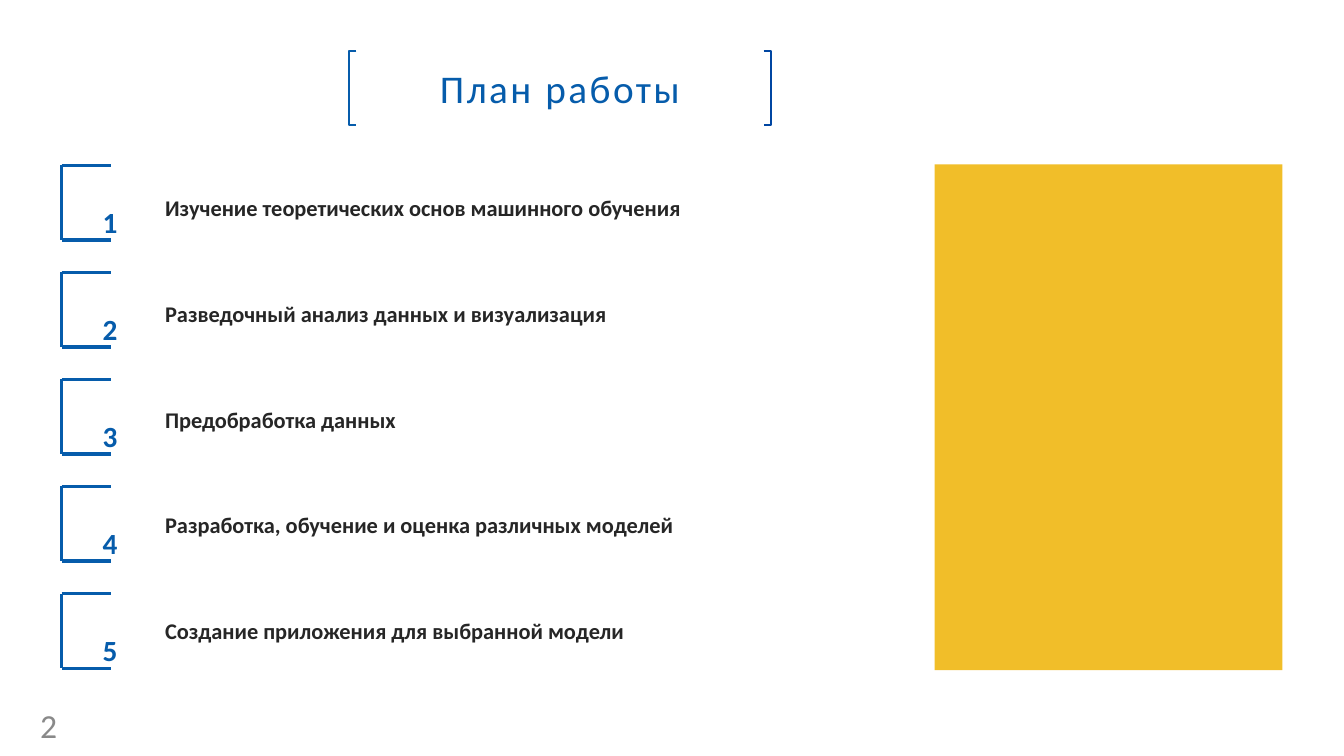
from dataclasses import dataclass

from lxml.etree import SubElement
from pptx import Presentation
from pptx.dml.color import RGBColor as RGB
from pptx.enum.shapes import MSO_CONNECTOR as CONNECTOR, MSO_SHAPE as SHAPE
from pptx.enum.text import MSO_ANCHOR as ANCHOR, MSO_AUTO_SIZE as AUTOSIZE, PP_ALIGN as ALIGN
from pptx.oxml.ns import qn
from pptx.util import Inches, Pt


@dataclass(frozen=True)
class Theme:
    font: str = "Calibri"
    blue: RGB = RGB.from_string("065CAB")
    navy: RGB = RGB.from_string("0046A2")
    yellow: RGB = RGB.from_string("F1BE29")
    dark: RGB = RGB.from_string("262626")
    grey: RGB = RGB.from_string("898989")
    white: RGB = RGB.from_string("FFFFFF")
    title_size: int = 28
    digit_size: int = 36
    step_size: int = 16
    page_size: int = 24
    thin: float = 1.3
    thick: float = 2.25


THEME = Theme()
WIDTH, HEIGHT = Inches(13.33), Inches(7.5)

STEPS = [
    "Изучение теоретических основ машинного обучения",
    "Разведочный анализ данных и визуализация",
    "Предобработка данных",
    "Разработка, обучение и оценка различных моделей",
    "Создание приложения для выбранной модели",
]

# Places are percentages of the slide's width and height
TITLE = (25.95, 6.8, 31.43, 9.73)
TITLE_TIP = 0.56
PANEL = (69.54, 21.73, 25.88, 66.93)
PAGE = (2.25, 93.87, 4.65, 4)
BRACKET_LEFT, BRACKET_RIGHT, BRACKET_HEIGHT = 4.58, 8.25, 9.87
BRACKET_TOP, BRACKET_PITCH = 21.87, 14.16
DIGIT_LEFT, DIGIT_DROP, DIGIT_WIDTH, DIGIT_HEIGHT = 6.9, 3.73, 8.85, 6.67
STEP_LEFT, STEP_TOP, STEP_PITCH, STEP_WIDTH, STEP_HEIGHT = 11.55, 25, 14, 51, 4.93


def x(share):
    return round(WIDTH * share / 100)


def y(share):
    return round(HEIGHT * share / 100)


def box(left, top, width, height):
    return x(left), y(top), x(width), y(height)


def style_run(r, size, color, bold=False):
    r.font.name = THEME.font
    r.font.size = Pt(size)
    r.font.color.rgb = color
    r.font.bold = bold


def add_label(s, place, text, size, color, bold=False):
    sp = s.shapes.add_textbox(*box(*place))
    tf = sp.text_frame
    tf.word_wrap = True
    tf.text = text
    r = tf.paragraphs[0].runs[0]
    style_run(r, size, color, bold)
    return tf, r


def set_title(s, text):
    sp = s.shapes.title
    sp.left, sp.top, sp.width, sp.height = box(*TITLE)
    sp.fill.solid()
    sp.fill.fore_color.rgb = THEME.white
    tf = sp.text_frame
    tf.text = text
    tf.auto_size = AUTOSIZE.NONE
    tf.vertical_anchor = ANCHOR.MIDDLE
    p = tf.paragraphs[0]
    p.alignment = ALIGN.CENTER
    r = p.runs[0]
    style_run(r, THEME.title_size, THEME.blue)
    r.font._element.set("spc", "180")


def add_title_bracket(s, spine, tip, color):
    top, bottom = TITLE[1], TITLE[1] + TITLE[3]
    builder = s.shapes.build_freeform(x(tip), y(top))
    corners = [(spine, top), (spine, bottom), (tip, bottom)]
    builder.add_line_segments([(x(h), y(v)) for h, v in corners], close=False)
    sp = builder.convert_to_shape()
    sp.shadow.inherit = False
    sp.fill.background()
    sp.line.color.rgb = color
    sp.line.width = Pt(THEME.thin)


def add_step_bracket(s, top):
    left, right, bottom = BRACKET_LEFT, BRACKET_RIGHT, top + BRACKET_HEIGHT
    group = s.shapes.add_group_shape()
    for x1, y1, x2, y2 in [(left, top, left, bottom),
                           (left, top, right, top),
                           (left, bottom, right, bottom)]:
        line = group.shapes.add_connector(CONNECTOR.STRAIGHT, x(x1), y(y1), x(x2), y(y2))
        line.line.color.rgb = THEME.blue
        line.line.width = Pt(THEME.thick)
        SubElement(line._element.spPr, qn("a:effectLst"))


def add_panel(s):
    sp = s.shapes.add_shape(SHAPE.RECTANGLE, *box(*PANEL))
    sp.shadow.inherit = False
    sp.fill.solid()
    sp.fill.fore_color.rgb = THEME.yellow
    sp.line.fill.background()


def add_step(s, index, text):
    top = BRACKET_TOP + index * BRACKET_PITCH
    add_step_bracket(s, top)
    tf, r = add_label(s, (DIGIT_LEFT, top + DIGIT_DROP, DIGIT_WIDTH, DIGIT_HEIGHT),
                      str(index + 1), THEME.digit_size, THEME.blue, bold=True)
    r.font._element.set("baseline", "30000")
    tf.auto_size = AUTOSIZE.SHAPE_TO_FIT_TEXT
    tf, r = add_label(s, (STEP_LEFT, STEP_TOP + index * STEP_PITCH, STEP_WIDTH, STEP_HEIGHT),
                      text, THEME.step_size, THEME.dark, bold=True)
    tf.auto_size = AUTOSIZE.SHAPE_TO_FIT_TEXT


def main():
    prs = Presentation()
    prs.slide_width, prs.slide_height = WIDTH, HEIGHT
    s = prs.slides.add_slide(prs.slide_layouts[5])

    # Title between brackets
    set_title(s, "План работы")
    left, right = TITLE[0], TITLE[0] + TITLE[2]
    add_title_bracket(s, left, left + TITLE_TIP, THEME.blue)
    add_title_bracket(s, right, right - TITLE_TIP, THEME.navy)

    # Numbered steps beside the colour panel
    add_panel(s)
    for index, text in enumerate(STEPS):
        add_step(s, index, text)

    # Page number
    tf, r = add_label(s, PAGE, "2", THEME.page_size, THEME.grey)
    tf.vertical_anchor = ANCHOR.MIDDLE

    prs.save("out.pptx")


if __name__ == "__main__":
    main()
